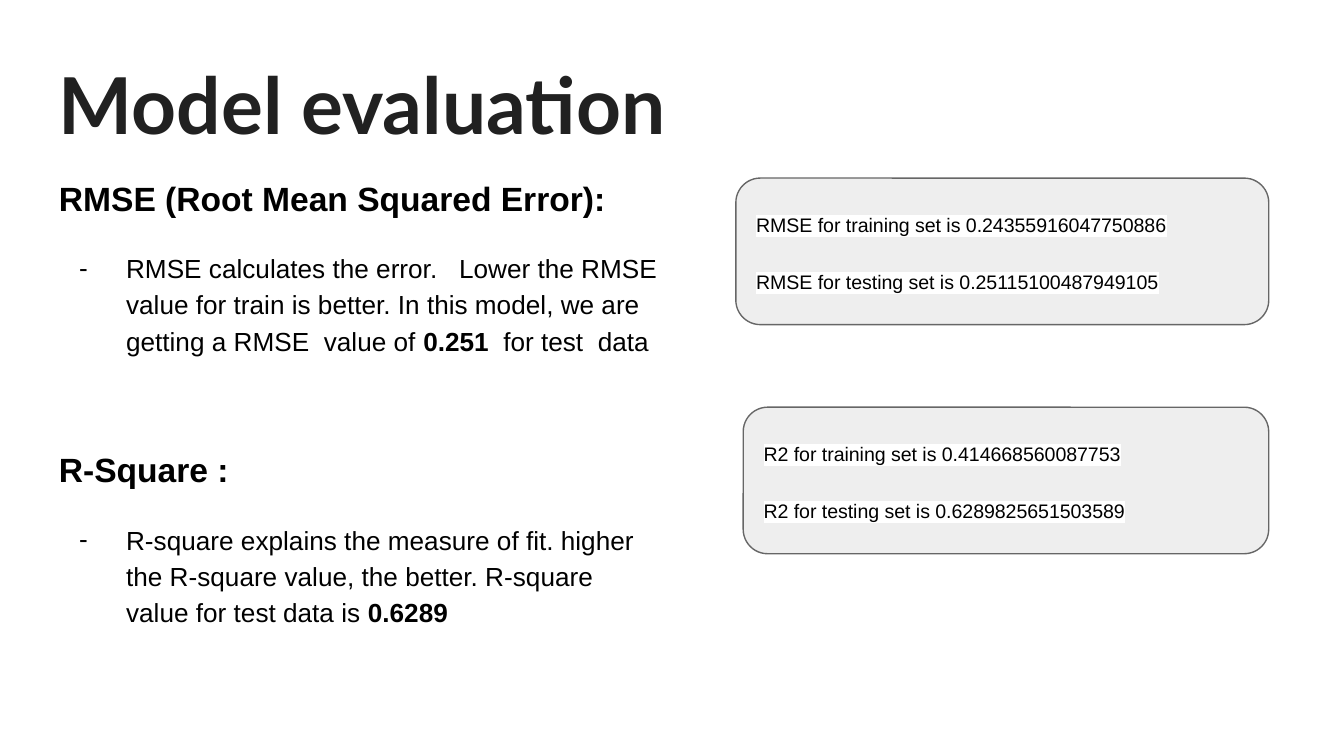
from dataclasses import dataclass

import lxml.etree
import pptx
import pptx.dml.color
import pptx.enum.shapes
import pptx.enum.text
import pptx.oxml.ns
import pptx.util

EMU_PER_PX = 4572
SLIDE_WIDTH = 2000
SLIDE_HEIGHT = 1125
INSET = 20
BULLET_INDENT = 100
BULLET_HANGING = 70

BLACK = pptx.dml.color.RGBColor(0x00, 0x00, 0x00)
WHITE = pptx.dml.color.RGBColor(0xFF, 0xFF, 0xFF)
TITLE_GREY = pptx.dml.color.RGBColor(0x21, 0x21, 0x21)
CARD_FILL = pptx.dml.color.RGBColor(0xEE, 0xEE, 0xEE)
CARD_LINE = pptx.dml.color.RGBColor(0x66, 0x66, 0x66)


@dataclass(frozen=True)
class Metric:
    heading: str
    space_before: float
    explanation: tuple[tuple[str, bool], ...]


@dataclass(frozen=True)
class ScoreCard:
    left: int
    top: int
    lines: tuple[str, ...]


METRICS = (
    Metric("RMSE (Root Mean Squared Error):", 0, (
        ("RMSE calculates the error.   Lower the RMSE value for train is better. "
         "In this model, we are getting a RMSE  value of ", False),
        ("0.251", True),
        ("  for test  data", False),
    )),
    Metric("R-Square :", 46.5, (
        ("R-square explains the measure of fit. higher the R-square value, "
         "the better. R-square value for test data is ", False),
        ("0.6289", True),
    )),
)

SCORE_CARDS = (
    ScoreCard(1106, 606, ("R2 for training set is 0.414668560087753",
                          "R2 for testing set is 0.6289825651503589")),
    ScoreCard(1095, 265, ("RMSE for training set is 0.24355916047750886",
                          "RMSE for testing set is 0.25115100487949105")),
)
CARD_RIGHT = 1888
CARD_HEIGHT = 218


def px(length: int) -> pptx.util.Emu:
    return pptx.util.Emu(length * EMU_PER_PX)


def add_xml(parent, tag: str, **attributes: str):
    return lxml.etree.SubElement(parent, pptx.oxml.ns.qn(tag), **attributes)


def prepare_frame(shape, anchor=pptx.enum.text.MSO_ANCHOR.TOP):
    frame = shape.text_frame
    frame.word_wrap = True
    frame.vertical_anchor = anchor
    frame.margin_left = frame.margin_right = px(INSET)
    frame.margin_top = frame.margin_bottom = px(INSET)
    return frame


def add_text_box(slide, left: int, top: int, width: int, height: int):
    return prepare_frame(slide.shapes.add_textbox(px(left), px(top), px(width), px(height)))


def add_paragraph(frame, space_before: float = 0, line_spacing: float = 1.15,
                  bullet_size: int = 0):
    first = frame.paragraphs[0]
    paragraph = frame.add_paragraph() if first.runs else first
    paragraph.alignment = pptx.enum.text.PP_ALIGN.LEFT
    paragraph.line_spacing = line_spacing
    paragraph.space_before = pptx.util.Pt(space_before)
    if bullet_size:
        properties = paragraph._p.get_or_add_pPr()
        properties.set("marL", str(px(BULLET_INDENT)))
        properties.set("indent", str(px(-BULLET_HANGING)))
        add_xml(add_xml(properties, "a:buClr"), "a:srgbClr", val=str(BLACK))
        add_xml(properties, "a:buSzPts", val=str(bullet_size * 100))
        add_xml(properties, "a:buFont", typeface="Arial")
        add_xml(properties, "a:buChar", char="-")
    return paragraph


def add_text(paragraph, text: str, *, size: float, bold: bool = False, font: str = "Arial",
             color: pptx.dml.color.RGBColor = BLACK,
             highlight: pptx.dml.color.RGBColor | None = WHITE) -> None:
    run = paragraph.add_run()
    run.text = text
    run.font.size = pptx.util.Pt(size)
    run.font.bold = bold
    run.font.color.rgb = color
    if highlight is not None:
        marker = add_xml(run._r.get_or_add_rPr(), "a:highlight")
        add_xml(marker, "a:srgbClr", val=str(highlight))
    run.font.name = font


def add_metric(frame, metric: Metric) -> None:
    heading = add_paragraph(frame, metric.space_before)
    add_text(heading, metric.heading, size=18, bold=True)
    explanation = add_paragraph(frame, 16, bullet_size=14)
    for text, bold in metric.explanation:
        add_text(explanation, text, size=14, bold=bold)


def add_score_card(slide, card: ScoreCard) -> None:
    shape = slide.shapes.add_shape(
        pptx.enum.shapes.MSO_SHAPE.ROUNDED_RECTANGLE,
        px(card.left), px(card.top), px(CARD_RIGHT - card.left), px(CARD_HEIGHT))
    shape.shadow.inherit = False
    shape.fill.solid()
    shape.fill.fore_color.rgb = CARD_FILL
    shape.line.color.rgb = CARD_LINE
    shape.line.width = pptx.util.Pt(0.75)
    frame = prepare_frame(shape, pptx.enum.text.MSO_ANCHOR.MIDDLE)
    for index, line in enumerate(card.lines):
        add_text(add_paragraph(frame, 16 if index else 0), line, size=10.5)


def main() -> None:
    presentation = pptx.Presentation()
    presentation.slide_width = px(SLIDE_WIDTH)
    presentation.slide_height = px(SLIDE_HEIGHT)
    slide = presentation.slides.add_slide(presentation.slide_layouts[6])

    title = add_text_box(slide, 68, 64, 1864, 176)
    add_text(add_paragraph(title, line_spacing=1.0), "Model evaluation", size=42,
             bold=True, font="Lato", color=TITLE_GREY, highlight=None)

    body = add_text_box(slide, 68, 236, 932, 774)
    for metric in METRICS:
        add_metric(body, metric)
    for card in SCORE_CARDS:
        add_score_card(slide, card)

    presentation.save("out.pptx")


if __name__ == "__main__":
    main()
